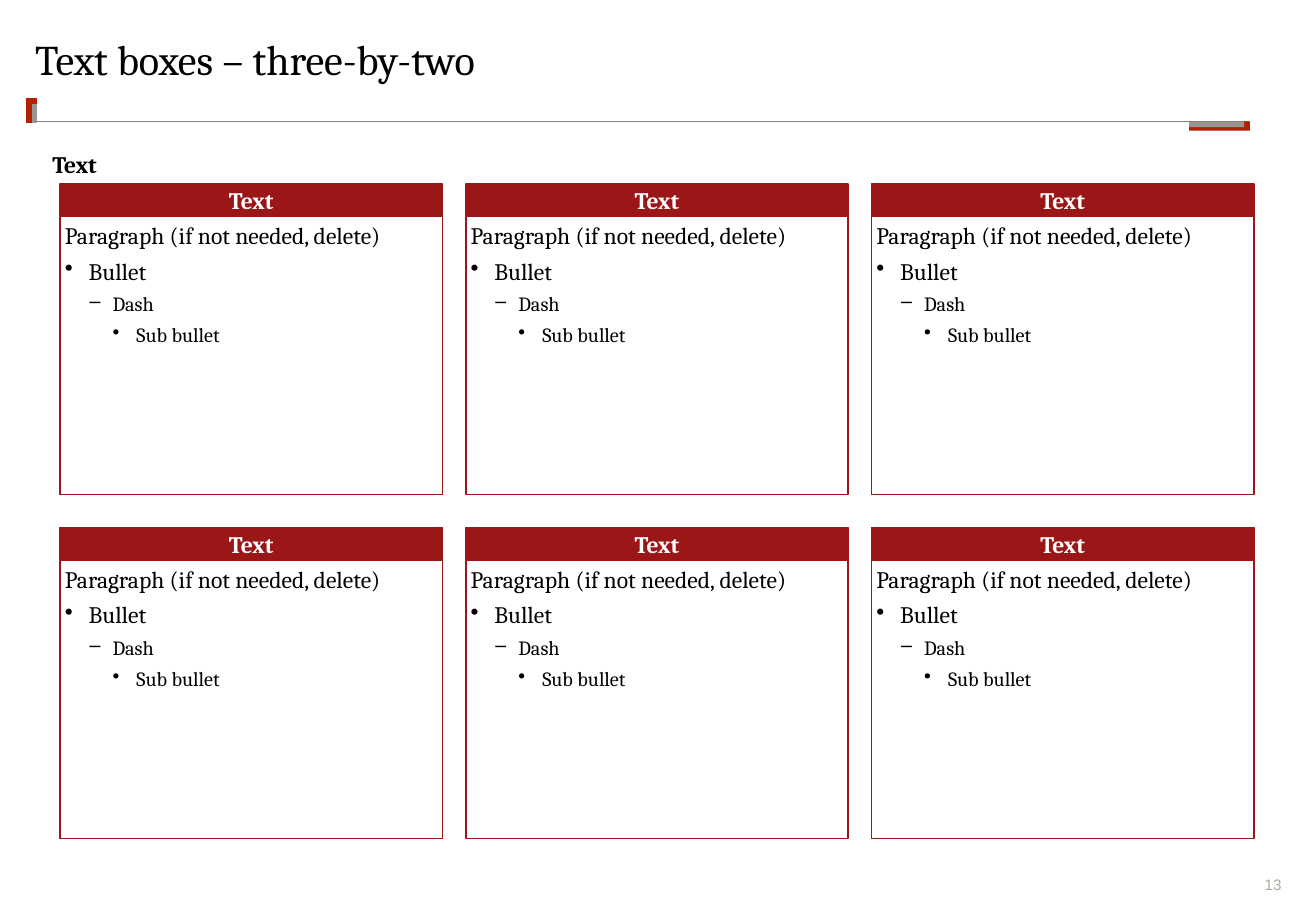
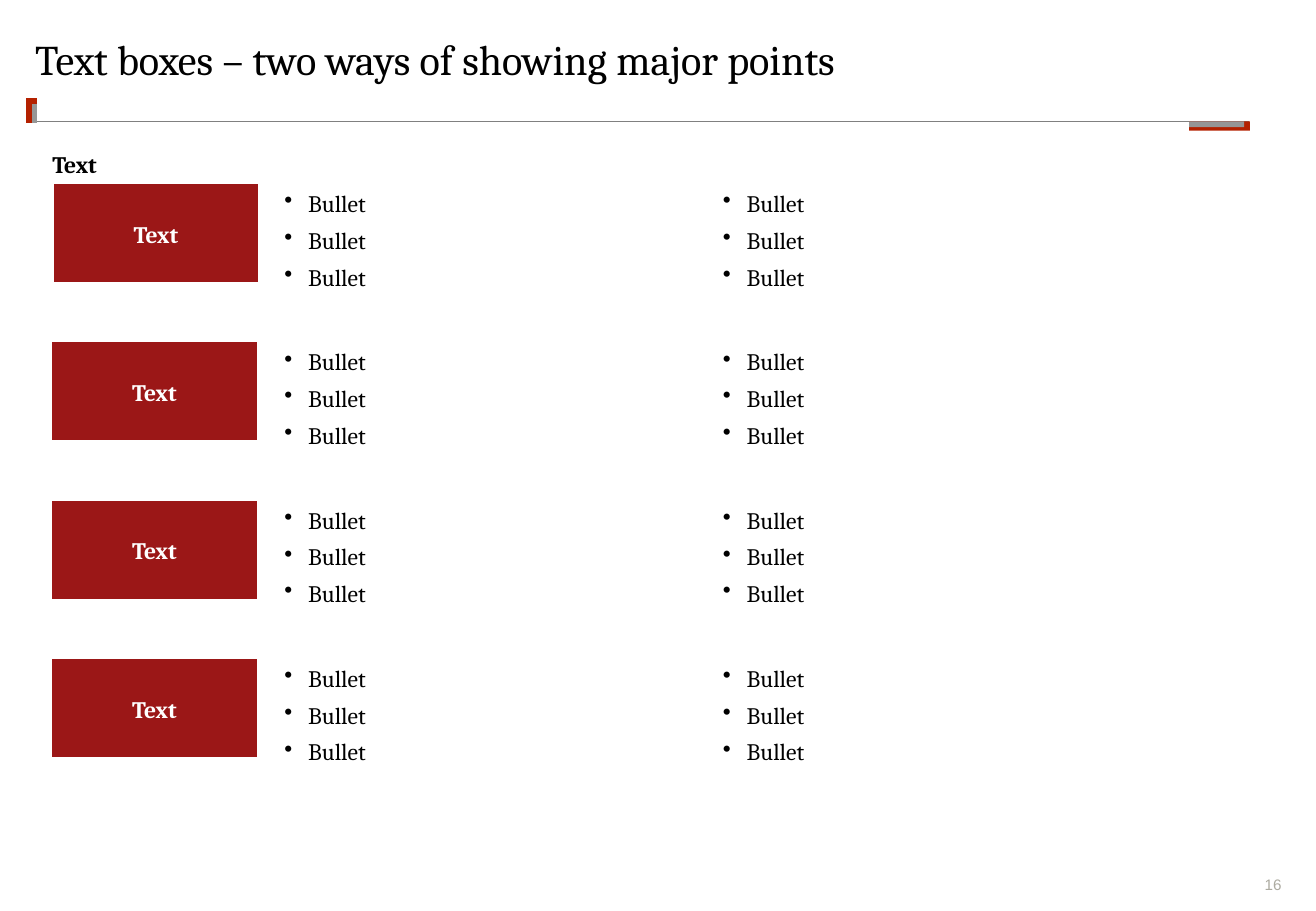
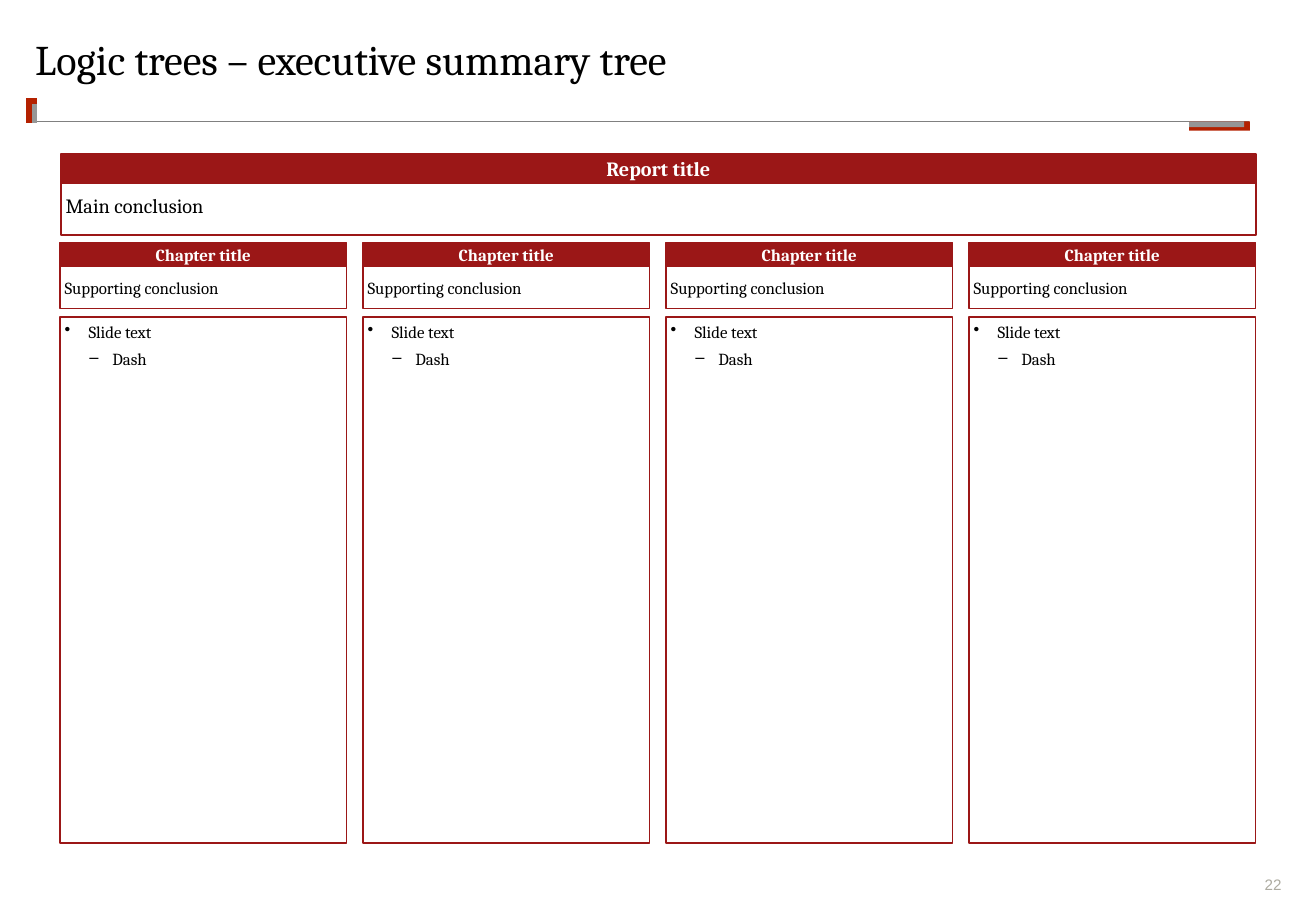
from dataclasses import dataclass
from typing import Optional

from lxml import etree
from pptx import Presentation
from pptx.dml.color import RGBColor
from pptx.enum import shapes, text
from pptx.oxml import ns
from pptx.util import Pt


@dataclass(frozen=True)
class Theme:
    band: RGBColor = RGBColor(0x9B, 0x17, 0x17)
    accent: RGBColor = RGBColor(0xB4, 0x21, 0x00)
    shade: RGBColor = RGBColor(0x96, 0x96, 0x96)
    rule: RGBColor = RGBColor(0x80, 0x80, 0x80)
    number: RGBColor = RGBColor(0xAD, 0xAB, 0xA1)
    ink: RGBColor = RGBColor(0, 0, 0)
    paper: RGBColor = RGBColor(0xFF, 0xFF, 0xFF)
    font: str = "Cambria"
    number_font: str = "Arial"
    title_size: float = 25
    text_size: float = 14
    small_size: float = 12
    tree_size: float = 10
    number_size: float = 9
    inset: float = 2.88
    indent: float = 14.17
    space: float = 4


THEME = Theme()
BULLETS = ("", "•", "‒", "•")
CENTER = text.PP_ALIGN.CENTER
MIDDLE = text.MSO_ANCHOR.MIDDLE


@dataclass(frozen=True)
class Area:
    left: float
    top: float
    width: float
    height: float

    def lengths(self) -> tuple:
        return Pt(self.left), Pt(self.top), Pt(self.width), Pt(self.height)


@dataclass(frozen=True)
class Line:
    words: str
    size: float = THEME.text_size
    color: RGBColor = THEME.ink
    bold: bool = False
    font: str = THEME.font
    level: int = 0
    align: Optional[text.PP_ALIGN] = None
    spacing: Optional[float] = None
    before: float = 0
    after: float = 0


@dataclass(frozen=True)
class Stroke:
    start: tuple
    end: tuple
    color: RGBColor
    width: float


STROKES = (
    Stroke((21.6, 72), (740.2, 72), THEME.rule, 1),
    Stroke((18.7, 72.7), (18.7, 58.3), THEME.accent, 6),
    Stroke((20.2, 72.7), (20.2, 61.9), THEME.shade, 3),
)
TABS = (
    (Area(704.9, 72, 36, 5.4), THEME.accent),
    (Area(704.9, 72, 32.6, 3.4), THEME.shade),
)


def write(shape, lines: list[Line], inset: float = 0,
          anchor=text.MSO_ANCHOR.TOP, wrap: bool = True) -> None:
    frame = shape.text_frame
    frame.word_wrap = wrap
    frame.vertical_anchor = anchor
    frame.margin_left = frame.margin_right = Pt(inset)
    frame.margin_top = frame.margin_bottom = Pt(inset)
    frame.text = "\n".join(line.words for line in lines)
    for para, line in zip(frame.paragraphs, lines):
        para.alignment = line.align or text.PP_ALIGN.LEFT
        para.line_spacing = line.spacing
        para.space_before = Pt(line.before)
        para.space_after = Pt(line.after)
        if line.level:
            add_bullet(para, line.level)
        for span in para.runs:
            span.font.name = line.font
            span.font.size = Pt(line.size)
            span.font.bold = line.bold
            span.font.color.rgb = line.color


def add_bullet(para, level: int) -> None:
    para.level = level
    properties = para._p.get_or_add_pPr()
    properties.set("marL", str(Pt(THEME.indent * level)))
    properties.set("indent", str(-Pt(THEME.indent)))
    mark = etree.SubElement(properties, ns.qn("a:buChar"))
    mark.set("char", BULLETS[level])


def add_text(page, area: Area, lines: list[Line], **style) -> None:
    write(page.shapes.add_textbox(*area.lengths()), lines, **style)


def add_box(page, area: Area, fill: Optional[RGBColor] = None,
            border: Optional[RGBColor] = None):
    """Draw a rectangle; a missing fill or border stays empty."""
    box = page.shapes.add_shape(shapes.MSO_SHAPE.RECTANGLE, *area.lengths())
    box.shadow.inherit = False
    if fill is None:
        box.fill.background()
    else:
        box.fill.solid()
        box.fill.fore_color.rgb = fill
    if border is None:
        box.line.fill.background()
    else:
        box.line.color.rgb = border
        box.line.width = Pt(1)
    return box


def add_header(page, area: Area, words: str, size: float = THEME.text_size,
               border: RGBColor = THEME.band,
               spacing: Optional[float] = None) -> None:
    """Draw a filled box with a bold, centred label."""
    label = Line(words, size, THEME.paper, bold=True, align=CENTER, spacing=spacing)
    write(add_box(page, area, THEME.band, border), [label], THEME.inset, MIDDLE)


def add_panel(page, area: Area, lines: list[Line],
              anchor=text.MSO_ANCHOR.TOP) -> None:
    """Draw an outlined box with body text."""
    write(add_box(page, area, border=THEME.band), lines, THEME.inset, anchor)


def add_stroke(page, stroke: Stroke) -> None:
    ends = [Pt(value) for value in stroke.start + stroke.end]
    connector = page.shapes.add_connector(shapes.MSO_CONNECTOR.STRAIGHT, *ends)
    connector.line.color.rgb = stroke.color
    connector.line.width = Pt(stroke.width)
    etree.SubElement(connector._element.spPr, ns.qn("a:effectLst"))


def add_page(deck, title: str, number: int):
    """Add a slide with the shared title, rule and page number."""
    page = deck.slides.add_slide(deck.slide_layouts[6])
    add_text(page, Area(737.3, 519.1, 22.3, 10.8),
             [Line(str(number), THEME.number_size, THEME.number,
                   font=THEME.number_font, align=text.PP_ALIGN.RIGHT)],
             anchor=text.MSO_ANCHOR.BOTTOM)
    for stroke in STROKES:
        add_stroke(page, stroke)
    for area, color in TABS:
        add_box(page, area, color)
    add_text(page, Area(20.9, 23, 738, 48.2),
             [Line(title, THEME.title_size, spacing=0.9)])
    return page


def add_subtitle(page) -> None:
    add_text(page, Area(31, 88.6, 28, 17.3), [Line("Text", bold=True)], wrap=False)


def build_text_grid(deck) -> None:
    page = add_page(deck, "Text boxes – three-by-two", 13)
    add_subtitle(page)
    lines = [
        Line("Paragraph (if not needed, delete)", before=THEME.space),
        Line("Bullet", level=1, before=THEME.space),
        Line("Dash", THEME.small_size, level=2, before=THEME.space),
        Line("Sub bullet", THEME.small_size, level=3, before=THEME.space),
    ]
    for row in range(2):
        top = 108.9 + row * 203.8
        for column in range(3):
            left = 35.5 + column * 240.5
            add_header(page, Area(left, top, 226.8, 19.4), "Text")
            add_panel(page, Area(left, top + 19.4, 226.8, 164.9), lines)


def build_major_points(deck) -> None:
    page = add_page(deck, "Text boxes – two ways of showing major points", 16)
    add_subtitle(page)
    bullets = [Line("Bullet", level=1, spacing=1.06, before=THEME.space)] * 3
    for row in range(4):
        top = 108.2 + row * 93.8
        label_left = 30.4 if row else 31.3
        add_header(page, Area(label_left, top + 0.5, 122.4, 59), "Text",
                   border=THEME.paper, spacing=1.06)
        for left in (165.6, 425.5):
            add_text(page, Area(left, top, 245.5, 67.7), bullets, inset=THEME.inset)


def build_summary_tree(deck) -> None:
    page = add_page(deck, "Logic trees – executive summary tree", 22)
    size = THEME.tree_size
    add_panel(page, Area(36, 104.6, 708.5, 34.6),
              [Line("Main conclusion", THEME.small_size, after=3)], MIDDLE)
    add_header(page, Area(36, 91.4, 708.5, 17.3), "Report title", THEME.small_size)
    conclusion = [Line("Supporting conclusion", size, after=3)]
    details = [
        Line("Slide text", size, level=1, before=THEME.space),
        Line("Dash", size, level=2, before=THEME.space),
    ]
    for column in range(4):
        left = 35.4 + column * 179.6
        add_header(page, Area(left, 143.7, 170, 14.2), "Chapter title", size)
        add_panel(page, Area(left, 157.9, 170, 25), conclusion, MIDDLE)
        add_panel(page, Area(left, 187.9, 170, 311.8), details)


def main() -> None:
    deck = Presentation()
    deck.slide_width, deck.slide_height = Pt(780), Pt(540)
    build_text_grid(deck)
    build_major_points(deck)
    build_summary_tree(deck)
    deck.save("out.pptx")


if __name__ == "__main__":
    main()
